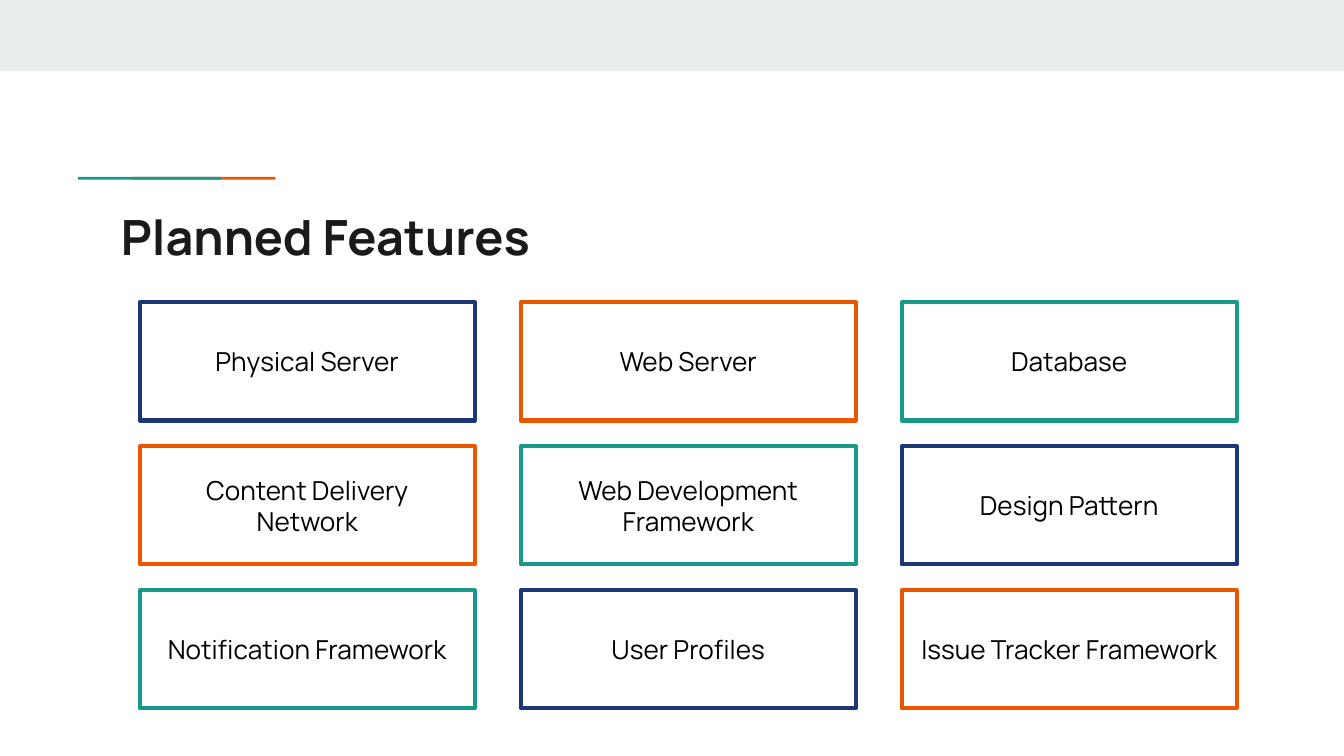
from dataclasses import dataclass

from lxml import etree
from pptx import Presentation
from pptx.dml.color import RGBColor
from pptx.enum import shapes, text
from pptx.oxml import ns
from pptx.util import Pt

# Content
TITLE = "Planned Features"
FEATURES = [
    [("Physical Server", "navy"), ("Web Server", "orange"), ("Database", "teal")],
    [("Content Delivery Network", "orange"), ("Web Development Framework", "teal"),
     ("Design Pattern", "navy")],
    [("Notification Framework", "teal"), ("User Profiles", "navy"),
     ("Issue Tracker Framework", "orange")],
]


@dataclass(frozen=True)
class Theme:
    font: str = "Manrope"
    title_size: float = 26
    label_size: float = 14
    border: float = 2.25
    inset: float = 7.2
    ink: str = "1A1A1A"
    black: str = "000000"
    band: str = "E9EDEE"
    navy: str = "1C3678"
    orange: str = "EB5600"
    teal: str = "1A9988"


THEME = Theme()

# Layout, in points
PAGE_WIDTH, PAGE_HEIGHT = 720, 405
BAND_HEIGHT = 38.2
BAR_WIDTH, BAR_HEIGHT, BAR_TOP = 76.6, 1.5, 94.8
BARS = [(71, "orange"), (41.8, "teal")]
TITLE_AREA = (57.6, 103.7, 605.5, 42.5)
GRID_LEFT, GRID_TOP = 74.9, 162
CARD_WIDTH, CARD_HEIGHT = 179.4, 63.3
COLUMN_STEP, ROW_STEP = 204.1, 77.1


def color(name):
    return RGBColor.from_string(getattr(THEME, name))


def add_rectangle(page, left, top, width, height):
    box = page.shapes.add_shape(shapes.MSO_SHAPE.RECTANGLE,
                                Pt(left), Pt(top), Pt(width), Pt(height))
    box.shadow.inherit = False
    return box


def add_bar(page, left, top, width, height, fill):
    bar = add_rectangle(page, left, top, width, height)
    bar.fill.solid()
    bar.fill.fore_color.rgb = color(fill)
    bar.line.fill.background()


def write(box, words, size, ink, align, anchor, bold=False):
    frame = box.text_frame
    frame.word_wrap = True
    frame.auto_size = text.MSO_AUTO_SIZE.NONE
    frame.vertical_anchor = anchor
    frame.margin_left = frame.margin_right = Pt(THEME.inset)
    frame.margin_top = frame.margin_bottom = Pt(THEME.inset)
    para = frame.paragraphs[0]
    para.alignment = align
    span = para.add_run()
    span.text = words
    span.font.name = THEME.font
    span.font.size = Pt(size)
    span.font.bold = bold
    span.font.color.rgb = color(ink)


def add_card(page, left, top, label, border):
    card = add_rectangle(page, left, top, CARD_WIDTH, CARD_HEIGHT)
    card.fill.background()
    card.line.color.rgb = color(border)
    card.line.width = Pt(THEME.border)
    # Rounded line corners
    etree.SubElement(card.line._get_or_add_ln(), ns.qn("a:round"))
    write(card, label, THEME.label_size, "black",
          text.PP_ALIGN.CENTER, text.MSO_ANCHOR.MIDDLE)


def main():
    deck = Presentation()
    deck.slide_width, deck.slide_height = Pt(PAGE_WIDTH), Pt(PAGE_HEIGHT)
    page = deck.slides.add_slide(deck.slide_layouts[5])

    # Top band and two-colour accent line
    add_bar(page, 0, 0, PAGE_WIDTH, BAND_HEIGHT, "band")
    for left, fill in BARS:
        add_bar(page, left, BAR_TOP, BAR_WIDTH, BAR_HEIGHT, fill)

    # Title
    title = page.shapes.title
    title.left, title.top, title.width, title.height = map(Pt, TITLE_AREA)
    write(title, TITLE, THEME.title_size, "ink",
          text.PP_ALIGN.LEFT, text.MSO_ANCHOR.TOP, bold=True)

    # Feature grid
    for row, features in enumerate(FEATURES):
        for column, (label, border) in enumerate(features):
            add_card(page, GRID_LEFT + column * COLUMN_STEP,
                     GRID_TOP + row * ROW_STEP, label, border)

    deck.save("out.pptx")


if __name__ == "__main__":
    main()
